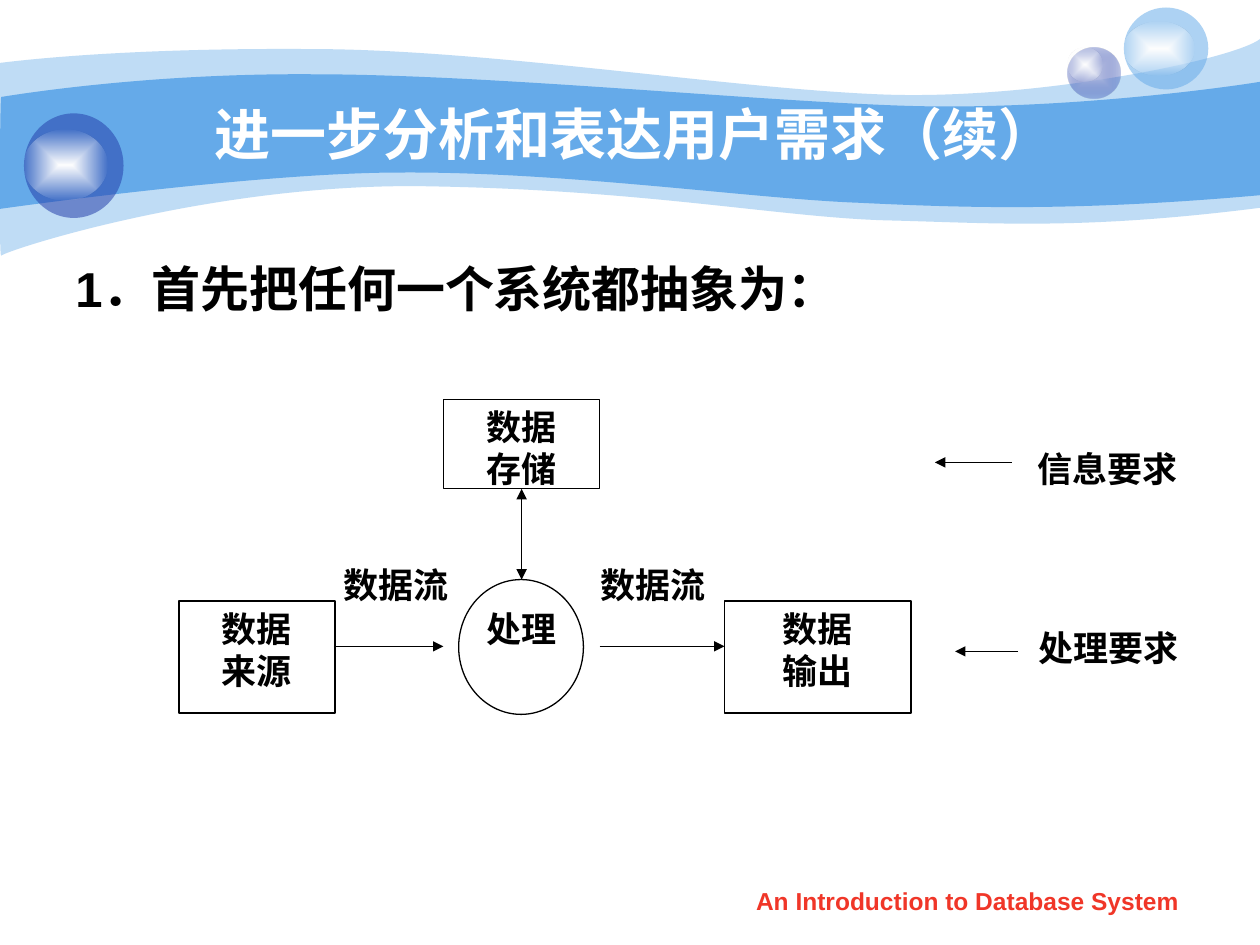
from lxml import etree
from pptx import Presentation
from pptx.dml.color import RGBColor
from pptx.enum import shapes, text
from pptx.oxml import parse_xml
from pptx.oxml.ns import nsdecls, qn
from pptx.util import Inches, Pt

BLACK = RGBColor(0, 0, 0)
WHITE = RGBColor(0xFF, 0xFF, 0xFF)
SKY = RGBColor(0x65, 0xAA, 0xE9)
NAVY = RGBColor(0x23, 0x3D, 0xA9)
LILAC = RGBColor(0xC6, 0xCC, 0xE8)
RED = RGBColor(0xF0, 0x36, 0x28)

TITLE = "进一步分析和表达用户需求（续）"
POINT = "1．首先把任何一个系统都抽象为："
FOOTER = "An Introduction to Database System"

# Waves: opacity, start point, Bezier segments; a bare pair is a straight line
WAVES = [
    (41, (0, 0.5), [
        (0.24, 0.47, 1.07, 0.38, 2.47, 0.39), (3.86, 0.39, 5.75, 0.7, 6.99, 0.75),
        (8.22, 0.8, 9.8, 0.47, 10, 0.31), (10, 1.65),
        (8.58, 1.83, 7.87, 1.77, 7.05, 1.75), (6.22, 1.73, 5.15, 1.51, 3.43, 1.48),
        (1.72, 1.44, 0.04, 1.99, 0.01, 2.03), (-0.01, 2.08, 0, 0.75, 0, 0.5)]),
    (100, (0.01, 0.77), [
        (0.02, 0.77, 1.1, 0.58, 2.48, 0.59), (3.86, 0.59, 5.95, 0.8, 7.18, 0.84),
        (8.41, 0.88, 9.76, 0.69, 10, 0.65), (10, 1.55),
        (8.53, 1.68, 7.65, 1.65, 6.82, 1.61), (5.99, 1.58, 4.47, 1.36, 3.17, 1.37),
        (2.03, 1.37, -0.02, 1.66, -0.01, 1.66), (0, 1.66, 0, 0.77, 0.01, 0.77)]),
]

# Orbs: ball place, highlight place, centre colour (None = flat), colour, opacity
ORBS = [
    ((8.47, 0.38, 0.42, 0.4), (8.47, 0.38, 0.28, 0.27), LILAC, NAVY, 31),
    ((8.92, 0.06, 0.67, 0.65), (8.92, 0.17, 0.56, 0.43), None, SKY, 53),
    ((0.19, 0.9, 0.79, 0.83), (0.19, 1.03, 0.66, 0.56), None, NAVY, 53),
]

# Diagram: places are left, top, width, height
PROCESS = (3.64, 4.6, 0.99, 1.07)
BOXES = [
    ("数据\n存储", (3.52, 3.17, 1.24, 0.71)),
    ("数据\n来源", (1.42, 4.77, 1.24, 0.89)),
    ("数据\n输出", (5.75, 4.77, 1.48, 0.89)),
]
LABELS = [
    ("数据流", (4.63, 4.42, 1.11, 0.71)),
    ("数据流", (2.65, 4.42, 0.99, 0.71)),
    ("处理", (3.77, 4.77, 0.74, 0.53)),
    ("信息要求", (8.17, 3.5, 1.24, 0.73)),
    ("处理要求", (8.18, 4.92, 1.24, 0.57)),
]
# Arrows: start, end, arrowheads
ARROWS = [
    ((8.03, 3.67), (7.42, 3.67), ["tailEnd"]),
    ((2.65, 5.13), (3.52, 5.13), ["tailEnd"]),
    ((4.76, 5.13), (5.75, 5.13), ["tailEnd"]),
    ((8.08, 5.17), (7.58, 5.17), ["tailEnd"]),
    ((4.14, 3.88), (4.14, 4.6), ["headEnd", "tailEnd"]),
]


def inches(values):
    return [Inches(value) for value in values]


def fill_flat(shape, color, opacity):
    shape.fill.solid()
    shape.fill.fore_color.rgb = color
    if opacity < 100:
        tint = shape.element.spPr.find(".//" + qn("a:srgbClr"))
        etree.SubElement(tint, qn("a:alpha"), val=str(opacity * 1000))


def fill_glow(shape, centre, edge, opacity):
    shape.fill.background()
    blank = shape.element.spPr.find(qn("a:noFill"))
    glow = parse_xml(
        f'<a:gradFill {nsdecls("a")} rotWithShape="1"><a:gsLst>'
        f'<a:gs pos="0"><a:srgbClr val="{centre}"/></a:gs>'
        f'<a:gs pos="100000"><a:srgbClr val="{edge}">'
        f'<a:alpha val="{opacity * 1000}"/></a:srgbClr></a:gs></a:gsLst>'
        '<a:path path="rect"><a:fillToRect l="50000" t="50000" r="50000" b="50000"/>'
        '</a:path></a:gradFill>')
    blank.getparent().replace(blank, glow)


def add_wave(page, start, segments):
    """Draw the control polygon, then turn each three lines into one curve."""
    builder = page.shapes.build_freeform(*inches(start))
    for segment in segments:
        values = inches(segment)
        builder.add_line_segments(list(zip(values[::2], values[1::2])), close=False)
    wave = builder.convert_to_shape()
    lines = iter(wave.element.findall(".//" + qn("a:lnTo")))
    for segment in segments:
        first = next(lines)
        if len(segment) == 6:
            first.tag = qn("a:cubicBezTo")
            for line in (next(lines), next(lines)):
                first.append(line[0])
                line.getparent().remove(line)
    etree.SubElement(first.getparent(), qn("a:close"))
    wave.shadow.inherit = False
    wave.line.fill.background()
    return wave


def write(shape, words, font, size, color, align=text.PP_ALIGN.CENTER,
          anchor=text.MSO_ANCHOR.TOP, side=0):
    frame = shape.text_frame
    frame.text = words
    frame.word_wrap = True
    frame.auto_size = text.MSO_AUTO_SIZE.NONE
    frame.vertical_anchor = anchor
    frame.margin_left = frame.margin_right = Inches(side)
    frame.margin_top = frame.margin_bottom = Inches(0.05)
    for para in frame.paragraphs:
        para.alignment = align
        for span in para.runs:
            span.font.name, span.font.size = font, Pt(size)
            span.font.bold, span.font.color.rgb = True, color


def add_plain(page, kind, place):
    shape = page.shapes.add_shape(kind, *inches(place))
    shape.shadow.inherit = False
    shape.fill.background()
    shape.line.fill.background()
    return shape


def add_outlined(page, kind, place):
    shape = add_plain(page, kind, place)
    shape.line.color.rgb = BLACK
    shape.line.width = Pt(0.75)
    return shape


def add_arrow(page, start, end, heads):
    arrow = page.shapes.add_connector(
        shapes.MSO_CONNECTOR.STRAIGHT, *inches(start + end))
    arrow.line.color.rgb = BLACK
    arrow.line.width = Pt(0.75)
    outline = arrow.element.spPr.find(qn("a:ln"))
    for head in heads:
        etree.SubElement(outline, qn("a:" + head), type="triangle")
    etree.SubElement(arrow.element.spPr, qn("a:effectLst"))


def main():
    deck = Presentation()
    deck.slide_width, deck.slide_height = Inches(10), Inches(7.5)
    page = deck.slides.add_slide(deck.slide_layouts[5])
    oval, rectangle = shapes.MSO_SHAPE.OVAL, shapes.MSO_SHAPE.RECTANGLE

    # Banner waves and orbs
    for opacity, start, segments in WAVES:
        fill_flat(add_wave(page, start, segments), SKY, opacity)
    for ball_place, shine_place, centre, color, opacity in ORBS:
        ball = add_plain(page, oval, ball_place)
        if centre:
            fill_glow(ball, centre, color, opacity)
        else:
            fill_flat(ball, color, opacity)
        fill_glow(add_plain(page, oval, shine_place), WHITE, "FEFEFE", 0)

    # Title, brought in front of the banner
    title = page.shapes.title
    title.left, title.top, title.width, title.height = inches((1, 0.75, 8.08, 0.62))
    write(title, TITLE, "Arial", 32, WHITE, anchor=text.MSO_ANCHOR.MIDDLE, side=0.1)
    title.element.getparent().append(title.element)

    # Main point
    point = page.shapes.add_textbox(*inches((0.5, 2, 9, 4.92)))
    write(point, POINT, "Arial", 28, BLACK, align=text.PP_ALIGN.LEFT, side=0.1)
    point.text_frame.paragraphs[0].space_before = Pt(7)

    # Data flow diagram
    add_outlined(page, oval, PROCESS)
    for words, place in BOXES:
        write(add_outlined(page, rectangle, place), words, "Times New Roman", 20, BLACK)
    for words, place in LABELS:
        label = page.shapes.add_textbox(*inches(place))
        write(label, words, "Times New Roman", 20, BLACK)
    for start, end, heads in ARROWS:
        add_arrow(page, start, end, heads)

    # Footer
    footer = page.shapes.add_textbox(*inches((5.71, 6.98, 3.94, 0.35)))
    write(footer, FOOTER, "Arial", 14, RED, side=0.1)

    deck.save("out.pptx")


if __name__ == "__main__":
    main()
